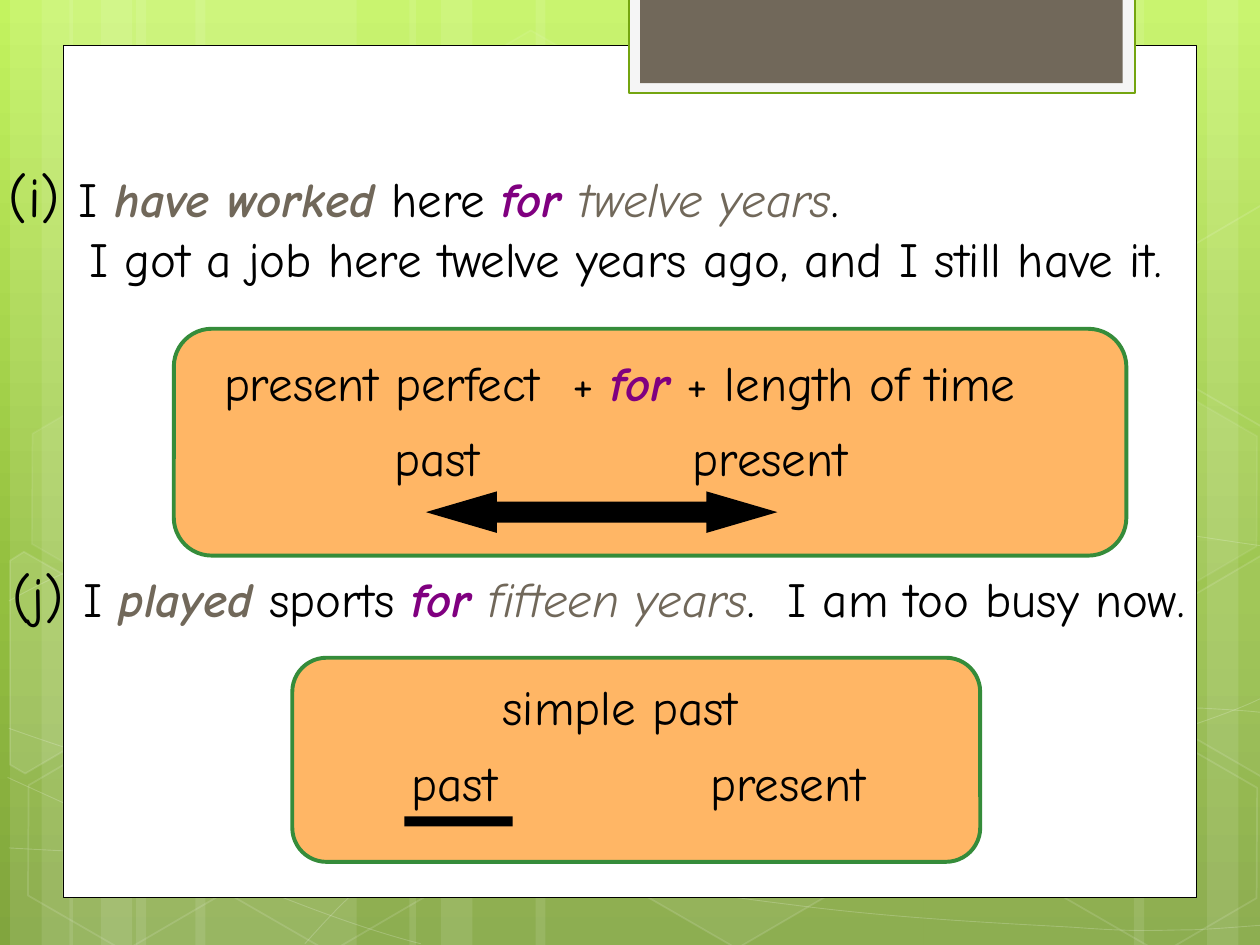
from copy import deepcopy
from dataclasses import dataclass
from typing import NamedTuple, Optional

from lxml.etree import SubElement
from pptx import Presentation
from pptx.dml.color import RGBColor
from pptx.enum.shapes import MSO_SHAPE as Preset
from pptx.oxml.ns import qn
from pptx.util import Inches, Pt

FONT = "Comic Neue"
COLORS = {
    "white": "FFFFFF", "black": "000000", "brown": "71685A", "purple": "800080",
    "orange": "FFB665", "green": "358C3A", "tab_frame": "F5F5F5", "tab_line": "74A510",
}
BACKDROP = [(0, "C3F35F"), (0.62, "93BF3F"), (1, "81A53E")]


@dataclass
class Look:
    """Fill and outline; opacities are percentages."""
    fill: Optional[str] = None
    line: Optional[str] = None
    weight: float = 1
    fill_opacity: int = 100
    line_opacity: int = 100


class TextStyle(NamedTuple):
    color: str = "black"
    bold: bool = False
    italic: bool = False
    size: int = 28


PLAIN = TextStyle()
LABEL = TextStyle(size=32)
VERB = TextStyle("brown", True, True)
FOR = TextStyle("purple", True, True)
DURATION = TextStyle("brown", False, True)


class Hexagon(NamedTuple):
    left: float
    top: float
    fill_opacity: int
    line_opacity: int


# Left edge and width of each band
BANDS = [(1.08, 1.75), (0.08, 0.5), (0.33, 0.83), (1.55, 1.75), (0.55, 0.5), (0.8, 0.83),
         (7.33, 1.75), (9.58, 0.5), (9, 0.83), (4.25, 3.08), (3.25, 0.5), (3.5, 0.83)]

# A start point, then for each Bezier segment two control points and an end point
CURVES = [
    [(0.07, 6.73), (0.61, 6.76), (1.15, 6.79), (1.9, 6.78), (2.65, 6.77), (3.58, 6.75),
     (4.58, 6.65), (5.58, 6.55), (7, 6.36), (7.92, 6.17), (8.83, 5.98), (9.77, 5.68),
     (10.07, 5.51)],
    [(0.07, 4.77), (0.36, 4.61), (0.65, 4.46), (1.21, 4.31), (1.78, 4.16), (2.59, 3.94),
     (3.47, 3.87), (4.36, 3.8), (5.44, 3.79), (6.54, 3.87), (7.64, 3.95), (9.47, 4.26),
     (10.07, 4.34)],
    [(0.06, 6.17), (1.27, 6.72), (2.47, 7.27), (3.34, 7.49)],
    [(0.07, 5.78), (0.38, 5.89), (0.7, 6), (1.28, 6.16), (1.86, 6.31), (2.73, 6.56),
     (3.57, 6.73), (4.4, 6.9), (5.45, 7.08), (6.28, 7.18), (7.11, 7.29), (8, 7.33),
     (8.53, 7.36), (9.05, 7.4), (9.19, 7.38), (9.45, 7.38), (9.71, 7.37), (9.89, 7.35),
     (10.07, 7.34)],
    [(2.42, 7.49), (2.6, 7.29), (2.78, 7.09), (3.02, 6.91), (3.26, 6.73), (3.6, 6.53),
     (3.88, 6.39), (4.16, 6.25), (4.33, 6.19), (4.7, 6.09), (5.06, 5.99), (5.73, 5.85),
     (6.08, 5.78), (6.44, 5.71), (6.49, 5.71), (6.8, 5.69), (7.11, 5.66), (7.6, 5.63),
     (7.94, 5.62), (8.29, 5.61), (8.86, 5.62), (8.86, 5.62), (8.86, 5.62), (9.53, 5.62),
     (9.53, 5.62), (9.71, 5.63), (9.88, 5.64), (9.97, 5.65), (10.06, 5.66), (10.03, 5.65),
     (10.06, 5.66)],
]
HEXAGONS = [
    Hexagon(3.34, 0.36, 4, 8), Hexagon(4.97, 5.89, 6, 12), Hexagon(0.11, 5.91, 0, 12),
    Hexagon(0.14, 3.12, 7, 8), Hexagon(1.74, 5.92, 0, 12), Hexagon(7.53, 4.53, 10, 12),
    Hexagon(8.34, 5.93, 0, 12), Hexagon(8.34, 3.14, 7, 8),
]
CUT_HEXAGONS = [
    (10, [(0.08, 4.45), (0.19, 4.38), (0.96, 4.82), (0.95, 5.7), (0.2, 6.14), (0.08, 6.07)]),
    (4, [(9.26, 4.85), (10.01, 4.41), (10.09, 4.46), (10.09, 6.13), (10.02, 6.17), (9.26, 5.73)]),
    (0, [(9.26, 2.07), (10.01, 1.63), (10.1, 1.68), (10.09, 3.35), (10.02, 3.39), (9.26, 2.95)]),
]


def rgb(name: str) -> RGBColor:
    return RGBColor.from_string(COLORS[name])


def paint(fill, color: Optional[str], opacity: int) -> None:
    if color is None or opacity == 0:
        fill.background()
        return
    fill.solid()
    fill.fore_color.rgb = rgb(color)
    if opacity < 100:
        color_element = fill._xPr.find(qn("a:solidFill"))[0]
        SubElement(color_element, qn("a:alpha"), val=str(opacity * 1000))


def apply_look(shape, look: Look) -> None:
    shape.shadow.inherit = False
    paint(shape.fill, look.fill, look.fill_opacity)
    paint(shape.line.fill, look.line, look.line_opacity)
    if look.line:
        shape.line.width = Pt(look.weight)


def add_preset(slide, preset, box: tuple, look: Look, adjustments: tuple = ()):
    shape = slide.shapes.add_shape(preset, *map(Inches, box))
    for index, value in enumerate(adjustments):
        shape.adjustments[index] = value
    apply_look(shape, look)
    return shape


def add_outline(slide, points: list, look: Look, close: bool):
    start, *rest = [(Inches(x), Inches(y)) for x, y in points]
    builder = slide.shapes.build_freeform(*start)
    builder.add_line_segments(rest, close=close)
    shape = builder.convert_to_shape()
    apply_look(shape, look)
    return shape


def add_curve(slide, points: list, look: Look) -> None:
    """Draw an open outline, then join every three line steps into one Bezier segment."""
    shape = add_outline(slide, points, look, close=False)
    outline = next(shape._element.iter(qn("a:path")))
    steps = outline.findall(qn("a:lnTo"))
    for first in range(0, len(steps), 3):
        segment = SubElement(outline, qn("a:cubicBezTo"))
        for step in steps[first:first + 3]:
            segment.append(step[0])
            outline.remove(step)


def add_text(slide, box: tuple, lines: list, tab: float = 0, last_indent: float = 0) -> None:
    """Write lines of (text, style) runs, with an optional tab stop and last-line indent."""
    frame = slide.shapes.add_textbox(*map(Inches, box)).text_frame
    frame.word_wrap = True
    for index, line in enumerate(lines):
        paragraph = frame.paragraphs[0] if index == 0 else frame.add_paragraph()
        properties = paragraph._p.get_or_add_pPr()
        if tab:
            stops = SubElement(properties, qn("a:tabLst"))
            SubElement(stops, qn("a:tab"), pos=str(Inches(tab)), algn="l")
        if last_indent and index == len(lines) - 1:
            properties.set("marL", str(Inches(last_indent)))
        for text, style in line:
            run = paragraph.add_run()
            run.text = text
            font = run.font
            font.name, font.size = FONT, Pt(style.size)
            font.bold, font.italic = style.bold, style.italic
            font.color.rgb = rgb(style.color)


def add_timeline_labels(slide, left: float, top: float) -> None:
    add_text(slide, (left, top, 3.93, 0.57), [[("past\tpresent", PLAIN)]], tab=2.37)


def draw_background(slide) -> None:
    fill = slide.background.fill
    fill.gradient()
    fill.gradient_angle = 270
    first_stop = next(slide._element.iter(qn("a:gs")))
    first_stop.addnext(deepcopy(first_stop))
    for stop, (position, color) in zip(fill.gradient_stops, BACKDROP):
        stop.position = position
        stop.color.rgb = RGBColor.from_string(color)
    for left, width in BANDS:
        add_preset(slide, Preset.RECTANGLE, (left, 0, width, 7.5), Look("white", fill_opacity=10))
    for points in CURVES:
        add_curve(slide, points, Look(line="white", weight=0.5, line_opacity=20))
    for left, top, fill_opacity, line_opacity in HEXAGONS:
        look = Look("white", "white", 1, fill_opacity, line_opacity)
        add_preset(slide, Preset.HEXAGON, (left, top, 1.75, 1.52), look, (0.285,)).rotation = 30
    for fill_opacity, corners in CUT_HEXAGONS:
        add_outline(slide, corners, Look("white", "white", 1, fill_opacity, 12), close=True)
    add_preset(slide, Preset.RECTANGLE, (0.5, 0.36, 9, 6.76), Look("white", "black", 0.5))
    add_preset(slide, Preset.RECTANGLE, (4.99, -0.02, 4.02, 0.76),
               Look("tab_frame", "tab_line", 1.25))
    add_preset(slide, Preset.RECTANGLE, (5.08, -0.02, 3.83, 0.68), Look("brown"))


def draw_lesson(slide) -> None:
    card, black = Look("orange", "green", 2.25), Look("black")
    add_text(slide, (-0.03, 1.23, 10.35, 1.11), [
        [("(i) ", LABEL), ("I ", PLAIN), ("have worked", VERB), (" here ", PLAIN),
         ("for ", FOR), ("twelve years", DURATION), (".", PLAIN)],
        [("I got a job here twelve years ago, and I still have it.", PLAIN)],
    ], last_indent=0.64)
    add_text(slide, (0, 4.41, 10.69, 0.64), [
        [("(j) ", LABEL), ("I ", PLAIN), ("played", VERB), (" sports ", PLAIN),
         ("for ", FOR), ("fifteen years", DURATION), (".  I am too busy now.", PLAIN)]])

    add_preset(slide, Preset.ROUNDED_RECTANGLE, (1.38, 2.61, 7.56, 1.8), card, (0.167,))
    add_text(slide, (1.68, 2.75, 7.32, 1.04), [
        [("present perfect  + ", PLAIN), ("for", FOR), (" + length of time", PLAIN)]])
    add_preset(slide, Preset.ROUNDED_RECTANGLE, (2.32, 5.22, 5.46, 1.62), card, (0.167,))
    add_timeline_labels(slide, 3.03, 3.34)
    add_preset(slide, Preset.LEFT_RIGHT_ARROW, (3.38, 3.9, 2.79, 0.33), black, (0.5, 1.71))
    add_text(slide, (3.89, 5.32, 2.25, 0.57), [[("simple past", PLAIN)]])
    add_timeline_labels(slide, 3.17, 5.92)
    add_preset(slide, Preset.RECTANGLE, (3.21, 6.48, 0.86, 0.08), black)


def main() -> None:
    deck = Presentation()
    deck.slide_width, deck.slide_height = Inches(10), Inches(7.5)
    slide = deck.slides.add_slide(deck.slide_layouts[6])
    draw_background(slide)
    draw_lesson(slide)
    deck.save("out.pptx")


if __name__ == "__main__":
    main()
